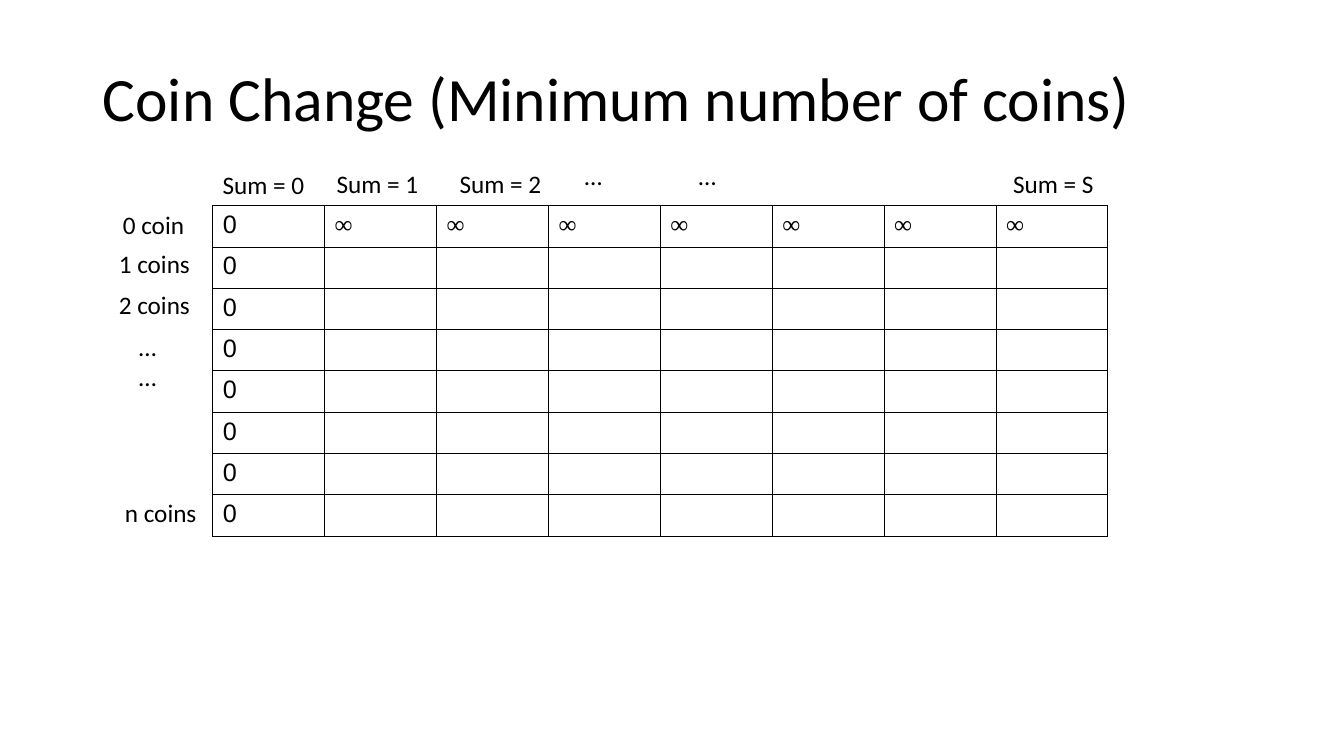
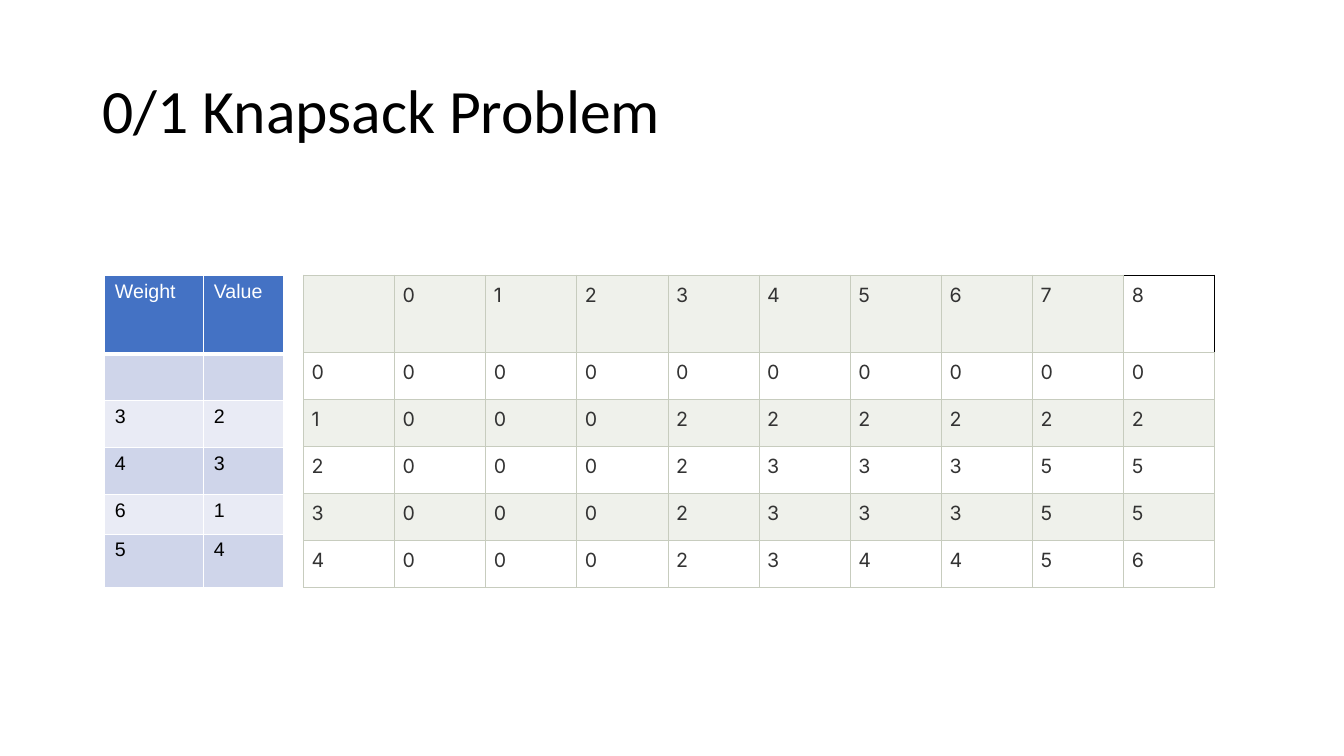
import pptx
import pptx.dml.color
import pptx.enum.text
import pptx.oxml
import pptx.oxml.ns
import pptx.util

Inches = pptx.util.Inches
Pt = pptx.util.Pt
ALIGN = pptx.enum.text.PP_ALIGN
ANCHOR = pptx.enum.text.MSO_ANCHOR

# Shared style
TEXT_FONT = "Calibri"
BLACK, WHITE = "000000", "FFFFFF"
SAGE, SAGE_LINE, GREY_TEXT = "EFF1EB", "C7CCBE", "333333"
BLUE, BLUE_DARK_BAND, BLUE_LIGHT_BAND = "4472C4", "CFD5EA", "E9EBF5"
LABEL_WIDTH, LABEL_HEIGHT = 1.12, 0.4


def color(hex_string):
    return pptx.dml.color.RGBColor.from_string(hex_string)


def add_run(paragraph, text, size, font, text_color):
    run = paragraph.add_run()
    run.text = text
    run.font.size = Pt(size)
    run.font.name = font
    run.font.color.rgb = color(text_color)


def add_text(slide, lines, left, top, width, height, size):
    box = slide.shapes.add_textbox(Inches(left), Inches(top), Inches(width), Inches(height))
    frame = box.text_frame
    frame.word_wrap = True
    for index, line in enumerate(lines):
        paragraph = frame.add_paragraph() if index else frame.paragraphs[0]
        add_run(paragraph, line, size, TEXT_FONT, BLACK)
    return frame


def add_title(slide, text, top):
    frame = add_text(slide, [text], 0.92, top, 11.5, 1.45, 44)
    frame.vertical_anchor = ANCHOR.MIDDLE
    frame.paragraphs[0].line_spacing = 0.9


def add_label(slide, text, left, top):
    lines = text.split("\n")
    add_text(slide, lines, left, top, LABEL_WIDTH, LABEL_HEIGHT * len(lines), 18)


def add_table(slide, left, top, widths, heights):
    frame = slide.shapes.add_table(
        len(heights), len(widths), Inches(left), Inches(top),
        Inches(sum(widths)), Inches(sum(heights)))
    table = frame.table
    table.first_row = False
    table.horz_banding = False
    for column, width in zip(table.columns, widths):
        column.width = Inches(width)
    for row, height in zip(table.rows, heights):
        row.height = Inches(height)
    return table


def set_borders(cell, line_color, width, **sides):
    """Draw all four sides alike; L, R, T or B may give another (color, width)."""
    properties = cell._tc.get_or_add_tcPr()
    for index, side in enumerate("LRTB"):
        side_color, side_width = sides.get(side, (line_color, width))
        properties.insert(index, pptx.oxml.parse_xml(
            f'<a:ln{side} {pptx.oxml.ns.nsdecls("a")} w="{Pt(side_width)}">'
            f'<a:solidFill><a:srgbClr val="{side_color}"/></a:solidFill></a:ln{side}>'))


def fill_cell(cell, text, size, font, text_color, fill=None):
    if fill:
        cell.fill.solid()
        cell.fill.fore_color.rgb = color(fill)
    else:
        cell.fill.background()
    if text:
        add_run(cell.text_frame.paragraphs[0], text, size, font, text_color)


def add_coin_table(slide, left, top, size):
    table = add_table(slide, left, top, [1.11] * size, [0.41] * size)
    for row in range(size):
        for column in range(size):
            cell = table.cell(row, column)
            text = "0" if column == 0 else "∞" if row == 0 else ""
            font = "Times New Roman" if text == "∞" else "Arial"
            fill_cell(cell, text, 18, font, BLACK)
            set_borders(cell, BLACK, 0.75)


def add_knapsack_table(slide, left, top, rows):
    table = add_table(slide, left, top, [9.04 / 10] * 10, [0.77] + [2.33 / 5] * 5)
    for row, values in enumerate(rows):
        for column, value in enumerate(values):
            cell = table.cell(row, column)
            corner = row == 0 and column == len(values) - 1
            fill = None if corner else WHITE if row % 2 else SAGE
            fill_cell(cell, value, 14, "Inter", GREY_TEXT, fill)
            cell.text_frame.paragraphs[0].alignment = ALIGN.JUSTIFY
            cell.margin_left = cell.margin_right = Inches(0.08)
            cell.margin_top = cell.margin_bottom = Inches(0.08)
            sides = {"T": (BLACK, 1), "R": (BLACK, 1)} if corner else {}
            set_borders(cell, SAGE_LINE, 0.75, **sides)


def add_item_table(slide, left, top, rows):
    table = add_table(slide, left, top, [0.98, 0.79], [0.78, 0.46, 0.47, 0.47, 0.39, 0.53])
    for row, values in enumerate(rows):
        header = row == 0
        band = BLUE_DARK_BAND if row % 2 else BLUE_LIGHT_BAND
        for column, value in enumerate(values):
            cell = table.cell(row, column)
            fill_cell(cell, value, 14, "Arial", WHITE if header else BLACK,
                      BLUE if header else band)
            sides = {"B": (WHITE, 3)} if header else {"T": (WHITE, 3)} if row == 1 else {}
            set_borders(cell, WHITE, 1, **sides)


def build_coin_slide(slide):
    add_title(slide, "Coin Change (Minimum number of coins)", 0.28)
    add_coin_table(slide, 2.11, 2.04, 8)
    # Column and row labels
    for text, left, top in [
        ("Sum = 0", 2.11, 1.63), ("Sum = 1", 3.24, 1.62), ("Sum = 2", 4.46, 1.62),
        ("…", 5.7, 1.54), ("…", 6.83, 1.54), ("Sum = S", 9.95, 1.62),
        ("0 coin", 1.12, 2.03), ("1 coins", 1.08, 2.41), ("2 coins", 1.08, 2.82),
        ("…\n…", 1.28, 3.24), ("n coins", 1.14, 4.88),
    ]:
        add_label(slide, text, left, top)


def build_knapsack_slide(slide):
    add_title(slide, "0/1 Knapsack Problem", 0.4)
    # Best value per item count (rows) and capacity (columns)
    best_values = ["000000000", "000222222", "000233355", "000233355", "000234456"]
    rows = [["", *"012345678"]]
    rows += [[str(count), *values] for count, values in enumerate(best_values)]
    add_knapsack_table(slide, 3.01, 2.73, rows)
    add_item_table(slide, 1.04, 2.73,
                   [("Weight", "Value"), ("", ""), "32", "43", "61", "54"])


def main():
    presentation = pptx.Presentation()
    presentation.slide_width = Inches(13.33)
    presentation.slide_height = Inches(7.5)
    blank = presentation.slide_layouts[6]
    for build in (build_coin_slide, build_knapsack_slide):
        build(presentation.slides.add_slide(blank))
    presentation.save("out.pptx")


if __name__ == "__main__":
    main()
